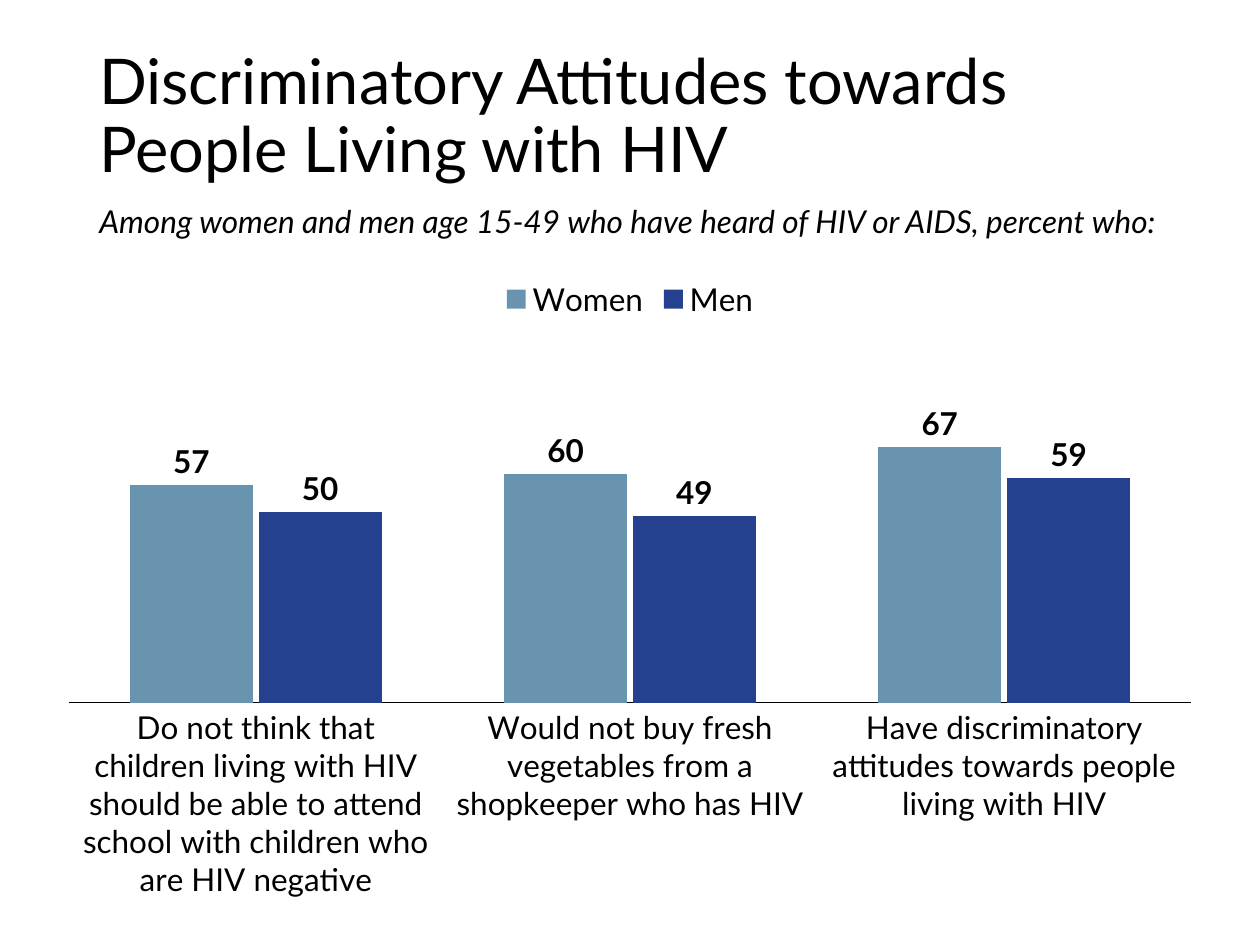
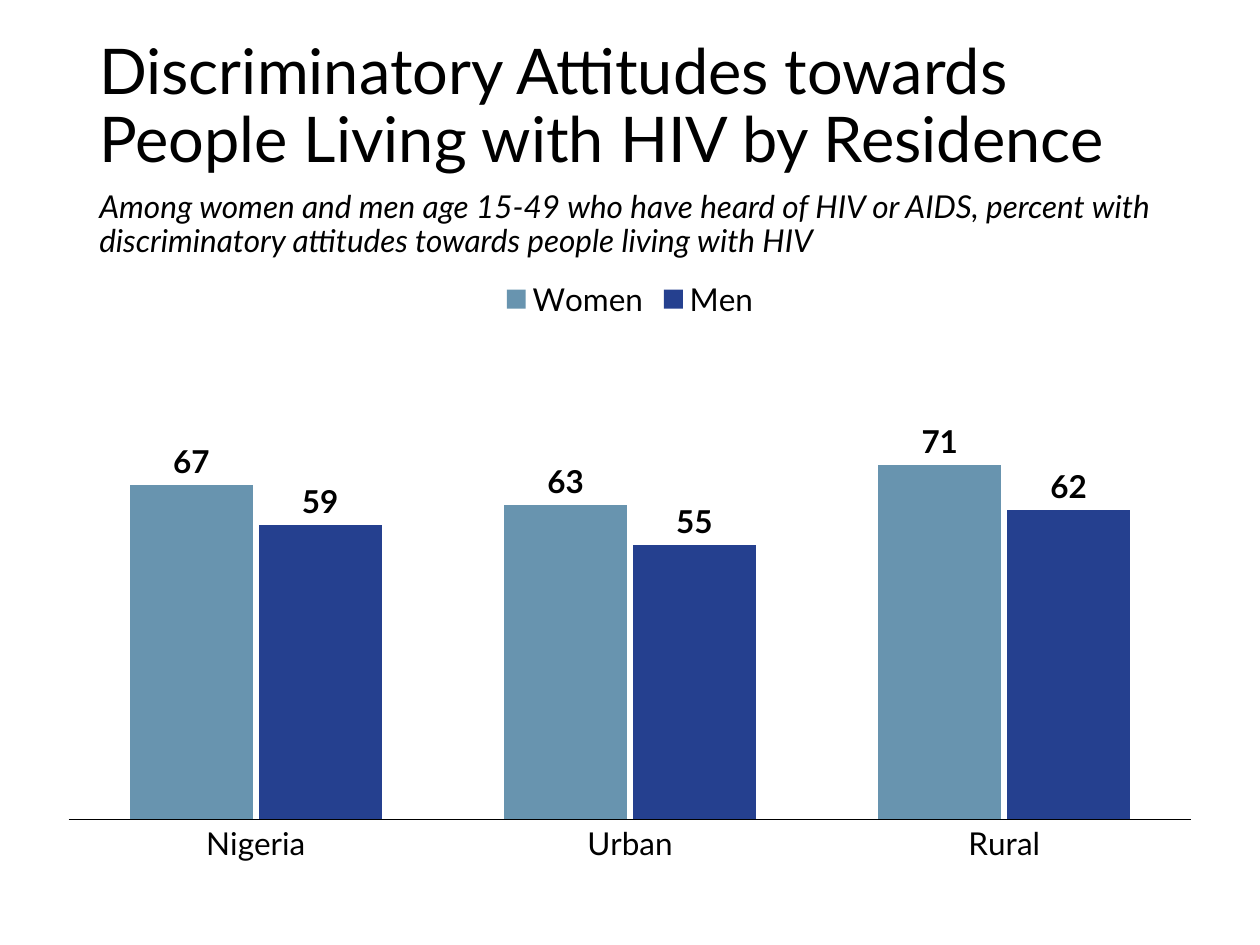
from dataclasses import dataclass

import lxml.etree
import pptx
import pptx.chart.chart
import pptx.chart.data
import pptx.dml.color
import pptx.enum.chart
import pptx.enum.text
import pptx.oxml.ns
import pptx.slide
import pptx.util

Inches = pptx.util.Inches
Pt = pptx.util.Pt
RGBColor = pptx.dml.color.RGBColor
qn = pptx.oxml.ns.qn

BLACK = RGBColor(0x00, 0x00, 0x00)
WHITE = RGBColor(0xFF, 0xFF, 0xFF)
WOMEN_BLUE = RGBColor(0x68, 0x94, 0xAF)
MEN_BLUE = RGBColor(0x25, 0x40, 0x8F)

TITLE_FORMAT = {"name": "Lato", "size": Pt(36), "bold": False}
SUBTITLE_FORMAT = {"name": "Lato", "size": Pt(18), "italic": True}
CHART_FORMAT = {"name": "Lato", "size": Pt(18), "bold": False}
LABEL_FORMAT = {**CHART_FORMAT, "bold": True}

TEXT_LEFT, TEXT_WIDTH = Inches(0.69), Inches(8.62)
CHART_LEFT, CHART_TOP, CHART_WIDTH = Inches(0.54), Inches(2.1), Inches(8.92)
TITLE_HEIGHT = Inches(1.23)


@dataclass
class Series:
    name: str
    values: tuple[int, ...]
    color: RGBColor


@dataclass
class ChartSlide:
    title: str
    title_top: float
    subtitle: str
    subtitle_top: float
    subtitle_height: float
    chart_height: float
    plot_height: float
    categories: tuple[str, ...]
    women: tuple[int, ...]
    men: tuple[int, ...]


SLIDES = (
    ChartSlide(
        "Discriminatory Attitudes towards People Living with HIV", 0.32,
        "Among women and men age 15-49 who have heard of HIV or AIDS, percent who:",
        1.59, 0.46, 5.31, 0.57,
        (
            "Do not think that children living with HIV should be able to attend "
            "school with children who are HIV negative",
            "Would not buy fresh vegetables from a shopkeeper who has HIV",
            "Have discriminatory attitudes towards people living with HIV",
        ),
        (57, 60, 67), (50, 49, 59),
    ),
    ChartSlide(
        "Discriminatory Attitudes towards People Living with HIV by Residence", 0.24,
        "Among women and men age 15-49 who have heard of HIV or AIDS, percent with "
        "discriminatory attitudes towards people living with HIV",
        1.47, 0.69, 5.21, 0.76,
        ("Nigeria", "Urban", "Rural"),
        (67, 63, 71), (59, 55, 62),
    ),
)


def set_attributes(target: object, values: dict) -> None:
    for name, value in values.items():
        setattr(target, name, value)


def set_font(font: object, values: dict) -> None:
    set_attributes(font, values)
    font.color.rgb = BLACK


def add_text(s: pptx.slide.Slide, text: str, top: int, height: int, font: dict,
             anchor: pptx.enum.text.MSO_ANCHOR, space_before: int) -> None:
    tf = s.shapes.add_textbox(TEXT_LEFT, top, TEXT_WIDTH, height).text_frame
    set_attributes(tf, {"word_wrap": True, "vertical_anchor": anchor})
    p = tf.paragraphs[0]
    set_attributes(p, {"line_spacing": 0.9, "space_before": Pt(space_before)})
    r = p.add_run()
    r.text = text
    set_font(r.font, font)


def place_plot(chart: pptx.chart.chart.Chart, height: float) -> None:
    plot_area = chart._chartSpace.find(f".//{qn('c:plotArea')}")
    for layout in plot_area.findall(qn("c:layout")):
        plot_area.remove(layout)
    layout = lxml.etree.Element(qn("c:layout"))
    manual = lxml.etree.SubElement(layout, qn("c:manualLayout"))
    settings = {"layoutTarget": "inner", "xMode": "edge", "yMode": "edge",
                "x": 0, "y": 0.085, "w": 1, "h": height}
    for tag, value in settings.items():
        lxml.etree.SubElement(manual, qn(f"c:{tag}"), val=str(value))
    plot_area.insert(0, layout)


def add_column_chart(s: pptx.slide.Slide, content: ChartSlide) -> None:
    series = (Series("Women", content.women, WOMEN_BLUE),
              Series("Men", content.men, MEN_BLUE))
    data = pptx.chart.data.CategoryChartData(number_format="0")
    data.categories = content.categories
    for item in series:
        data.add_series(item.name, item.values)
    chart = s.shapes.add_chart(
        pptx.enum.chart.XL_CHART_TYPE.COLUMN_CLUSTERED, CHART_LEFT, CHART_TOP,
        CHART_WIDTH, Inches(content.chart_height), data).chart
    set_attributes(chart, {"has_title": False, "has_legend": True})
    set_font(chart.font, CHART_FORMAT)
    set_attributes(chart.legend, {
        "position": pptx.enum.chart.XL_LEGEND_POSITION.TOP,
        "include_in_layout": False})
    set_font(chart.legend.font, CHART_FORMAT)

    set_attributes(chart.value_axis, {
        "minimum_scale": 0, "maximum_scale": 100,
        "has_major_gridlines": False, "visible": False})
    axis = chart.category_axis
    set_attributes(axis, {
        "major_tick_mark": pptx.enum.chart.XL_TICK_MARK.NONE,
        "minor_tick_mark": pptx.enum.chart.XL_TICK_MARK.NONE,
        "has_major_gridlines": False})
    set_font(axis.tick_labels.font, CHART_FORMAT)
    axis.format.line.color.rgb = BLACK
    axis.format.line.width = Pt(0.75)

    plot = chart.plots[0]
    set_attributes(plot, {"gap_width": 100, "overlap": -5, "vary_by_categories": False})
    for bars, item in zip(plot.series, series):
        bars.format.fill.solid()
        bars.format.fill.fore_color.rgb = item.color
        set_attributes(bars.data_labels, {
            "show_value": True,
            "position": pptx.enum.chart.XL_LABEL_POSITION.OUTSIDE_END})
        set_font(bars.data_labels.font, LABEL_FORMAT)
    place_plot(chart, content.plot_height)


def add_chart_slide(prs: pptx.presentation.Presentation, content: ChartSlide) -> None:
    s = prs.slides.add_slide(prs.slide_layouts[6])
    s.background.fill.solid()
    s.background.fill.fore_color.rgb = WHITE
    add_text(s, content.title, Inches(content.title_top), TITLE_HEIGHT,
             TITLE_FORMAT, pptx.enum.text.MSO_ANCHOR.MIDDLE, 0)
    add_text(s, content.subtitle, Inches(content.subtitle_top),
             Inches(content.subtitle_height), SUBTITLE_FORMAT,
             pptx.enum.text.MSO_ANCHOR.TOP, 10)
    add_column_chart(s, content)


def main() -> None:
    prs = pptx.Presentation()
    set_attributes(prs, {"slide_width": Inches(10), "slide_height": Inches(7.5)})
    for content in SLIDES:
        add_chart_slide(prs, content)
    prs.save("out.pptx")


if __name__ == "__main__":
    main()
